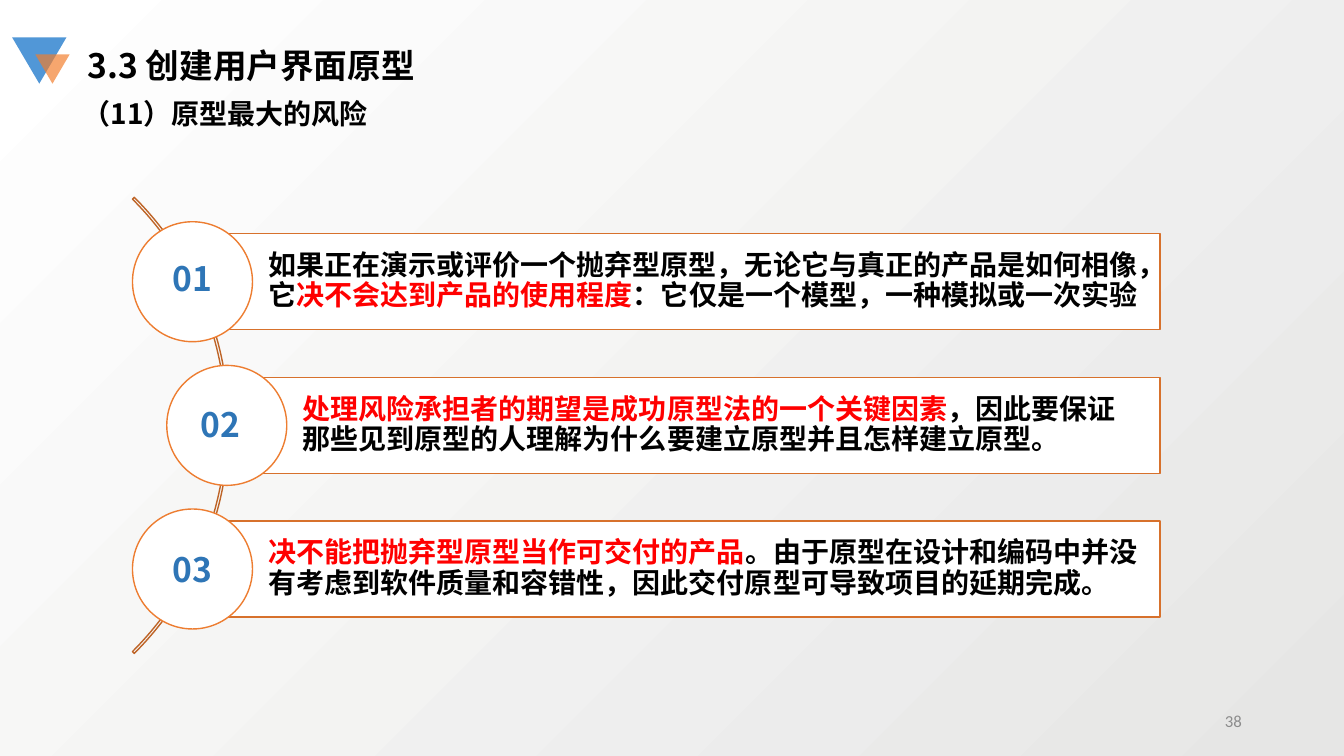
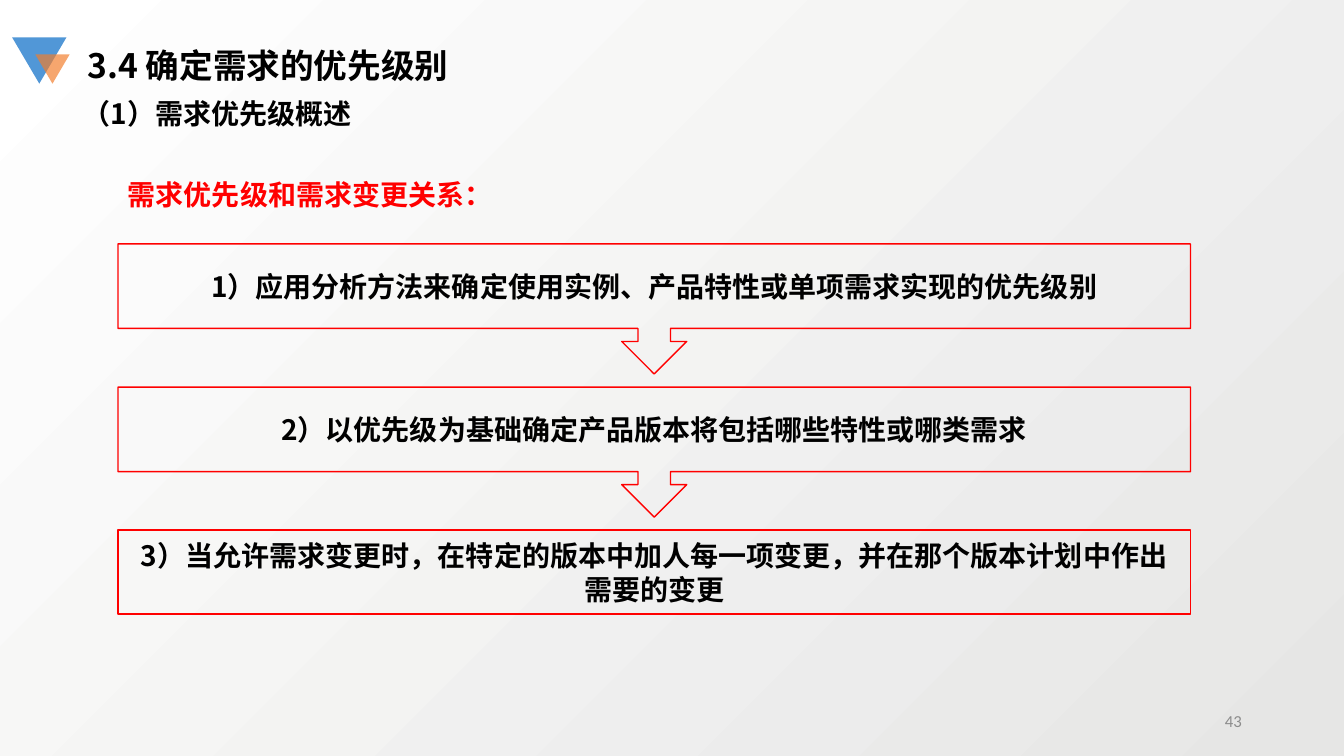
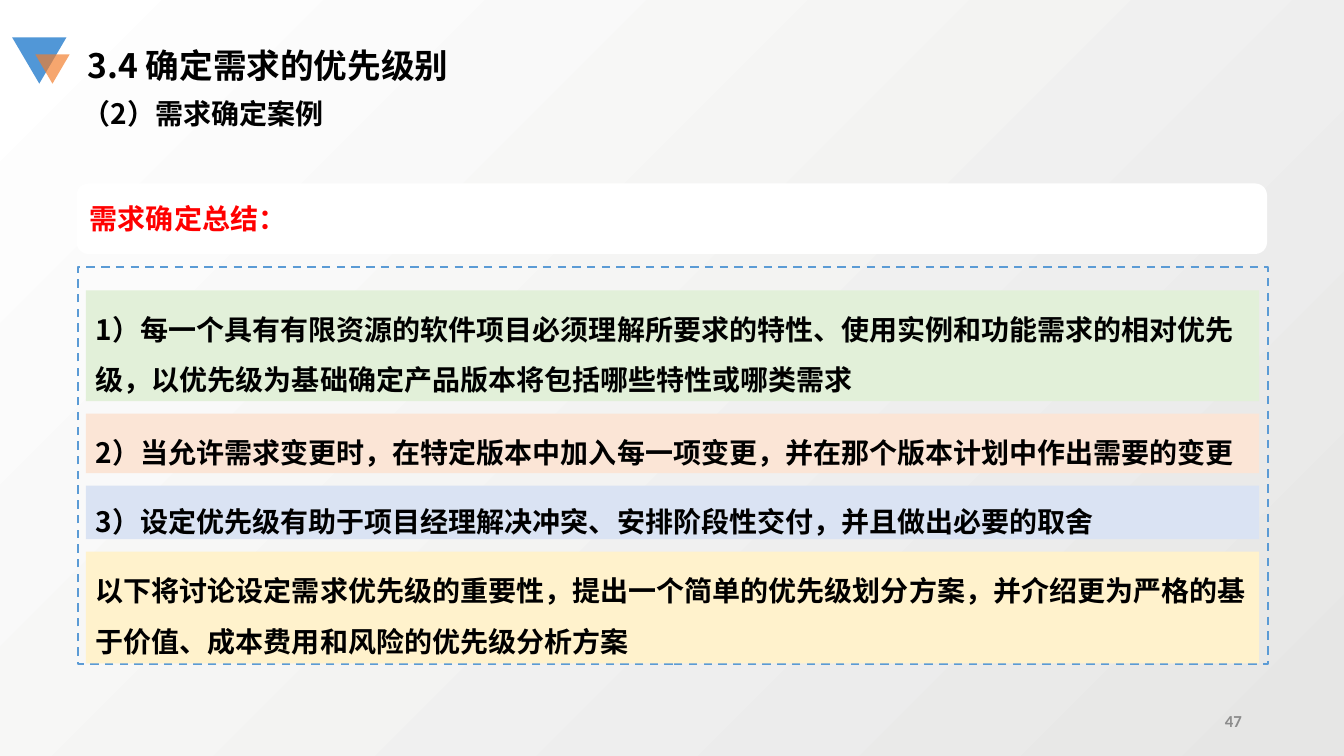
"""Build three slides on user-interface prototypes and requirement priorities."""
from dataclasses import dataclass
from typing import NamedTuple, Optional

from lxml import etree
from pptx import Presentation
from pptx.dml.color import RGBColor
from pptx.enum.dml import MSO_LINE
from pptx.enum.shapes import MSO_SHAPE
from pptx.enum.text import MSO_ANCHOR, MSO_AUTO_SIZE, PP_ALIGN
from pptx.oxml.ns import qn
from pptx.util import Inches, Pt

RECT, ROUND, OVAL = MSO_SHAPE.RECTANGLE, MSO_SHAPE.ROUNDED_RECTANGLE, MSO_SHAPE.OVAL
TRIANGLE, ARC = MSO_SHAPE.ISOSCELES_TRIANGLE, MSO_SHAPE.BLOCK_ARC
CALLOUT = MSO_SHAPE.DOWN_ARROW_CALLOUT
LEFT, CENTER, RIGHT = PP_ALIGN.LEFT, PP_ALIGN.CENTER, PP_ALIGN.RIGHT
TOP, MIDDLE = MSO_ANCHOR.TOP, MSO_ANCHOR.MIDDLE
DASH = MSO_LINE.DASH

WIDTH, HEIGHT = Inches(13.333), Inches(7.5)
TITLE_ONLY = 5
CJK, ARIAL, CALIBRI = "Noto Sans CJK SC", "Arial", "Calibri"
BLACK, WHITE, RED, GREY = "000000", "FFFFFF", "FF0000", "8C8C8C"
BLUE, ORANGE, RUST, ARC_LINE = "2E75B6", "ED7D31", "D7712C", "BE6427"
FRAME_BLUE = "5B9BD5"
BACKDROP = ("E6E6E5", WHITE)


class Box(NamedTuple):
    """Place on the slide, in percent of its width and height."""
    x: float
    y: float
    w: float
    h: float


class Part(NamedTuple):
    """Piece of text in one colour."""
    text: str
    color: str = BLACK


@dataclass(frozen=True)
class Style:
    """Format of a one-paragraph text."""
    size: float = 20
    font: str = CJK
    bold: bool = True
    align: PP_ALIGN = LEFT
    anchor: MSO_ANCHOR = MIDDLE
    spacing: Optional[float] = None
    margins: tuple = (0.1, 0.05, 0.1, 0.05)
    wrap: bool = True


@dataclass(frozen=True)
class Look:
    """Fill and outline of a shape."""
    fill: Optional[str] = None
    line: Optional[str] = None
    width: float = 1
    dash: Optional[MSO_LINE] = None


class Triangle(NamedTuple):
    """Corner triangle of the shared layout."""
    box: Box
    color: str
    alpha: int


class Band(NamedTuple):
    """Coloured summary band with its height."""
    height: float
    color: str
    text: str


TITLE = Style(size=24, anchor=TOP)
LABEL = Style(anchor=TOP)
HEADING = Style(font=CALIBRI, anchor=TOP, wrap=False)
RISK = Style(font=ARIAL, spacing=0.9, margins=(0.75, 0.06, 0.2, 0.06))
NUMBER = Style(size=24, align=CENTER, anchor=TOP)
STEP = Style(align=CENTER)
SUMMARY = Style(spacing=1.5)

TITLE_BOX = Box(5.78, 5.33, 63.68, 6.67)
SUBTITLE_BOX = Box(5.4, 12.13, 63.68, 5.87)
PAGE_BOX = Box(70.65, 92.67, 22.5, 5.33)
RISK_RIGHT = 86.3
TRIANGLES = (
    Triangle(Box(0.9, 4.93, 4.05, 6.13), "5197D7", 100),
    Triangle(Box(2.63, 7.2, 2.55, 3.87), "F37D2A", 68),
)
RISKS = (
    (Part("如果正在演示或评价一个抛弃型原型，无论它与真正的产品是如何相像，它"),
     Part("决不会达到产品的使用程度", RED),
     Part("：它仅是一个模型，一种模拟或一次实验")),
    (Part("处理风险承担者的期望是成功原型法的一个关键因素", RED),
     Part("，因此要保证那些见到原型的人理解为什么要建立原型并且怎样建立原型。")),
    (Part("决不能把抛弃型原型当作可交付的产品", RED),
     Part("。由于原型在设计和编码中并没有考虑到软件质量和容错性，因此交付原型可导致项目的延期完成。")),
)
STEPS = (
    "1）应用分析方法来确定使用实例、产品特性或单项需求实现的优先级别",
    "2）以优先级为基础确定产品版本将包括哪些特性或哪类需求",
    "3）当允许需求变更时，在特定的版本中加人每一项变更，并在那个版本计划中作出需要的变更",
)
BANDS = (
    Band(14.67, "E2F0D9", "1）每一个具有有限资源的软件项目必须理解所要求的特性、使用实例和功能需求的相对优先级，"
                          "以优先级为基础确定产品版本将包括哪些特性或哪类需求"),
    Band(7.87, "FBE5D6", "2）当允许需求变更时，在特定版本中加入每一项变更，并在那个版本计划中作出需要的变更"),
    Band(7.07, "DAE3F3", "3）设定优先级有助于项目经理解决冲突、安排阶段性交付，并且做出必要的取舍"),
    Band(14.8, "FFF2CC", "以下将讨论设定需求优先级的重要性，提出一个简单的优先级划分方案，"
                         "并介绍更为严格的基于价值、成本费用和风险的优先级分析方案"),
)


def rgb(color: str) -> RGBColor:
    return RGBColor.from_string(color)


def apply(target, values: dict) -> None:
    for name, value in values.items():
        setattr(target, name, value)


def place(box: Box) -> tuple:
    return tuple(int(share * side / 100)
                 for share, side in zip(box, (WIDTH, HEIGHT) * 2))


def write(sp, parts: tuple, style: Style) -> None:
    tf = sp.text_frame
    sides = ("margin_left", "margin_top", "margin_right", "margin_bottom")
    apply(tf, {"word_wrap": style.wrap, "auto_size": MSO_AUTO_SIZE.NONE,
               "vertical_anchor": style.anchor,
               **{side: Inches(m) for side, m in zip(sides, style.margins)}})
    p = tf.paragraphs[0]
    apply(p, {"alignment": style.align, "line_spacing": style.spacing})
    for part in parts:
        r = p.add_run()
        r.text = part.text
        apply(r.font, {"size": Pt(style.size), "bold": style.bold, "name": style.font})
        r.font.color.rgb = rgb(part.color)
        ea = etree.SubElement(r._r.get_or_add_rPr(), qn("a:ea"))
        ea.set("typeface", CJK)


def add_text(s, box: Box, style: Style, *parts: Part):
    sp = s.shapes.add_textbox(*place(box))
    write(sp, parts, style)
    return sp


def add_shape(s, kind: MSO_SHAPE, box: Box, look: Look,
              style: Style = STEP, parts: tuple = ()):
    sp = s.shapes.add_shape(kind, *place(box))
    sp.shadow.inherit = False
    for fill, color in ((sp.fill, look.fill), (sp.line.fill, look.line)):
        if color:
            fill.solid()
            fill.fore_color.rgb = rgb(color)
        else:
            fill.background()
    if look.line:
        apply(sp.line, {"width": Pt(look.width), "dash_style": look.dash})
    if parts:
        write(sp, parts, style)
    return sp


def set_master(prs) -> None:
    fill = prs.slide_master.background.fill
    fill.gradient()
    fill.gradient_angle = 135
    for stop, color in zip(fill.gradient_stops, BACKDROP):
        stop.color.rgb = rgb(color)
    title = prs.slide_layouts[TITLE_ONLY].placeholders[0]
    apply(title, dict(zip(("left", "top", "width", "height"), place(TITLE_BOX))))


def add_corner(s) -> None:
    for shape_id, tri in enumerate(TRIANGLES, 20):
        sp = add_shape(s, TRIANGLE, tri.box, Look(fill=tri.color))
        sp.rotation = 180
        if tri.alpha < 100:
            clr = sp.element.spPr.find(".//" + qn("a:srgbClr"))
            etree.SubElement(clr, qn("a:alpha")).set("val", str(tri.alpha * 1000))
        sp.element.nvSpPr.cNvPr.id = shape_id
        s.slide_layout.shapes.element.append(sp.element)


def new_slide(prs, title: str, subtitle: str, page: int, bold_page: bool = False):
    s = prs.slides.add_slide(prs.slide_layouts[TITLE_ONLY])
    write(s.shapes.title, (Part(title),), TITLE)
    add_text(s, SUBTITLE_BOX, LABEL, Part(subtitle))
    page_style = Style(size=12, font=CALIBRI, bold=bold_page, align=RIGHT)
    add_text(s, PAGE_BOX, page_style, Part(str(page), GREY))
    return s


def draw_risks(s) -> None:
    arc = add_shape(s, ARC, Box(-30.98, 13.6, 48, 85.33), Look(line=ARC_LINE))
    for i, value in enumerate((189, 27, 0.004)):
        arc.adjustments[i] = value
    for i, parts in enumerate(RISKS):
        x, y = 14.33 + 2.55 * (i % 2), 30.93 + 19 * i
        add_shape(s, RECT, Box(x, y, RISK_RIGHT - x, 12.67),
                  Look(WHITE, RUST), RISK, parts)
        add_shape(s, OVAL, Box(x - 4.47, y - 1.6, 8.93, 15.87), Look(WHITE, ORANGE))
        add_text(s, Box(11.25 + 2.1 * (i % 2), 33.47 + 19.27 * i, 6.15, 6.67),
                 NUMBER, Part(f"{i + 1:02d}", BLUE))


def draw_steps(s) -> None:
    add_text(s, Box(8.78, 22.8, 28.73, 5.87), HEADING,
             Part("需求优先级和需求变更关系：", RED))
    for i, text in enumerate(STEPS):
        last = i == len(STEPS) - 1
        kind, height = (RECT, 11.07) if last else (CALLOUT, 17.2)
        add_shape(s, kind, Box(8.78, 32.27 + 18.93 * i, 79.8, height),
                  Look(line=RED), STEP, (Part(text),))


def draw_summary(s) -> None:
    add_shape(s, ROUND, Box(5.7, 24.27, 88.58, 9.33), Look(WHITE),
              Style(), (Part("需求确定总结：", RED),))
    add_shape(s, RECT, Box(5.78, 35.33, 88.58, 52.53),
              Look(line=FRAME_BLUE, width=1.5, dash=DASH))
    y, gap = 38.4, 1.65
    for band in BANDS:
        add_shape(s, RECT, Box(6.38, y, 87.3, band.height), Look(band.color),
                  SUMMARY, (Part(band.text),))
        y += band.height + gap


def main() -> None:
    prs = Presentation()
    apply(prs, {"slide_width": WIDTH, "slide_height": HEIGHT})
    set_master(prs)
    s = new_slide(prs, "3.3 创建用户界面原型", "（11）原型最大的风险", 38)
    add_corner(s)
    draw_risks(s)
    draw_steps(new_slide(prs, "3.4 确定需求的优先级别", "（1）需求优先级概述", 43))
    draw_summary(new_slide(prs, "3.4 确定需求的优先级别", "（2）需求确定案例", 47, True))
    prs.save("out.pptx")


if __name__ == "__main__":
    main()
